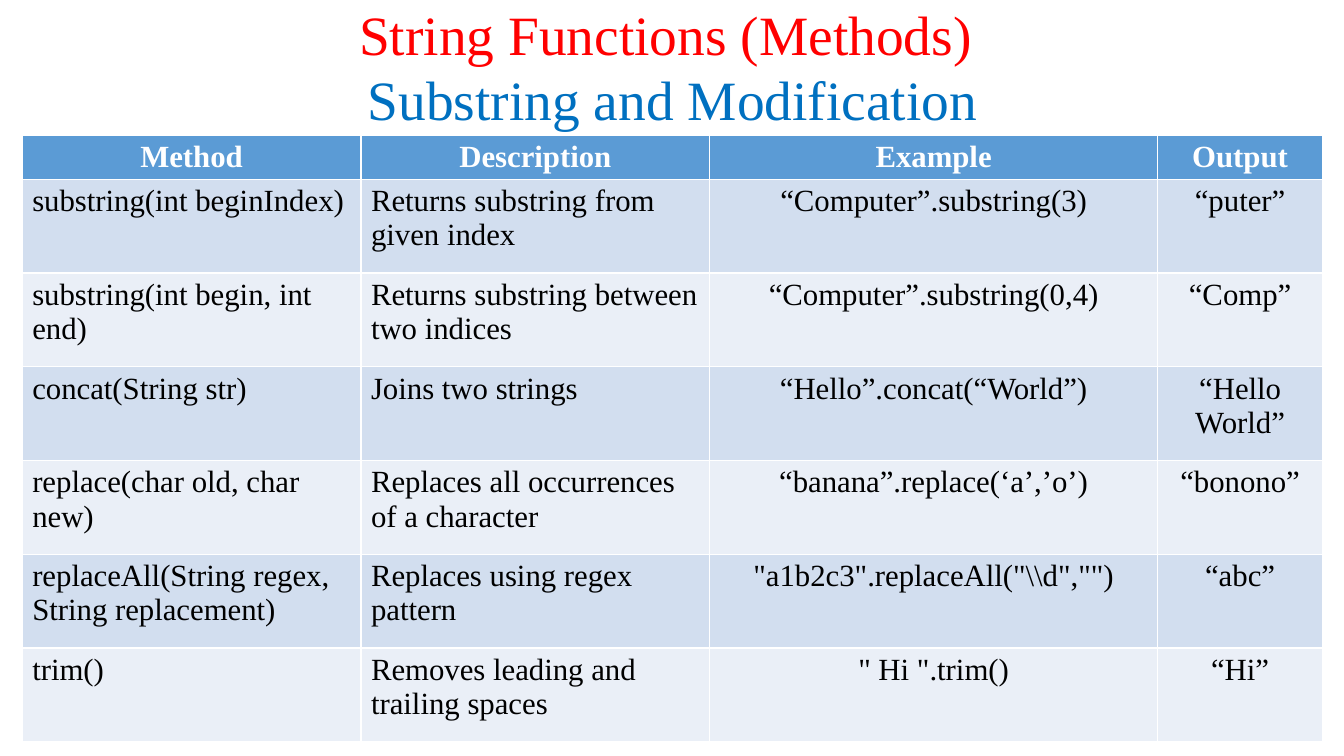
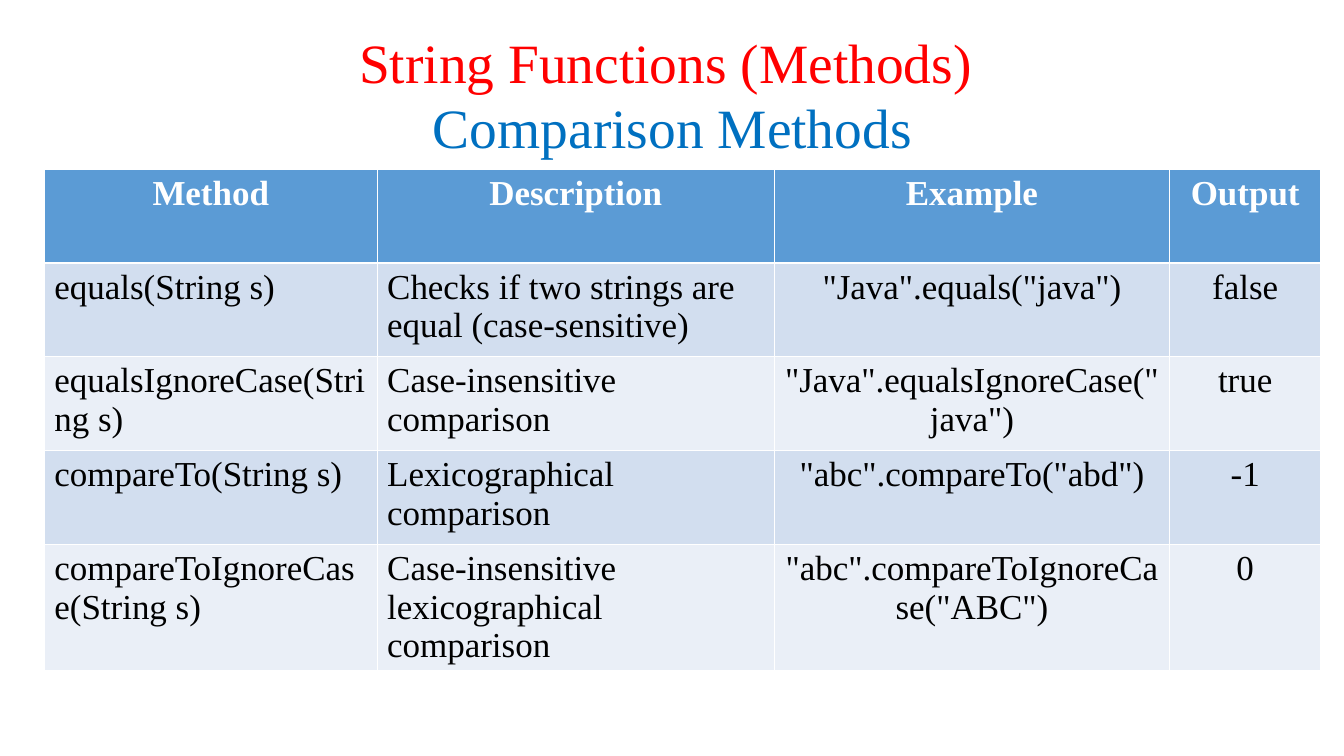
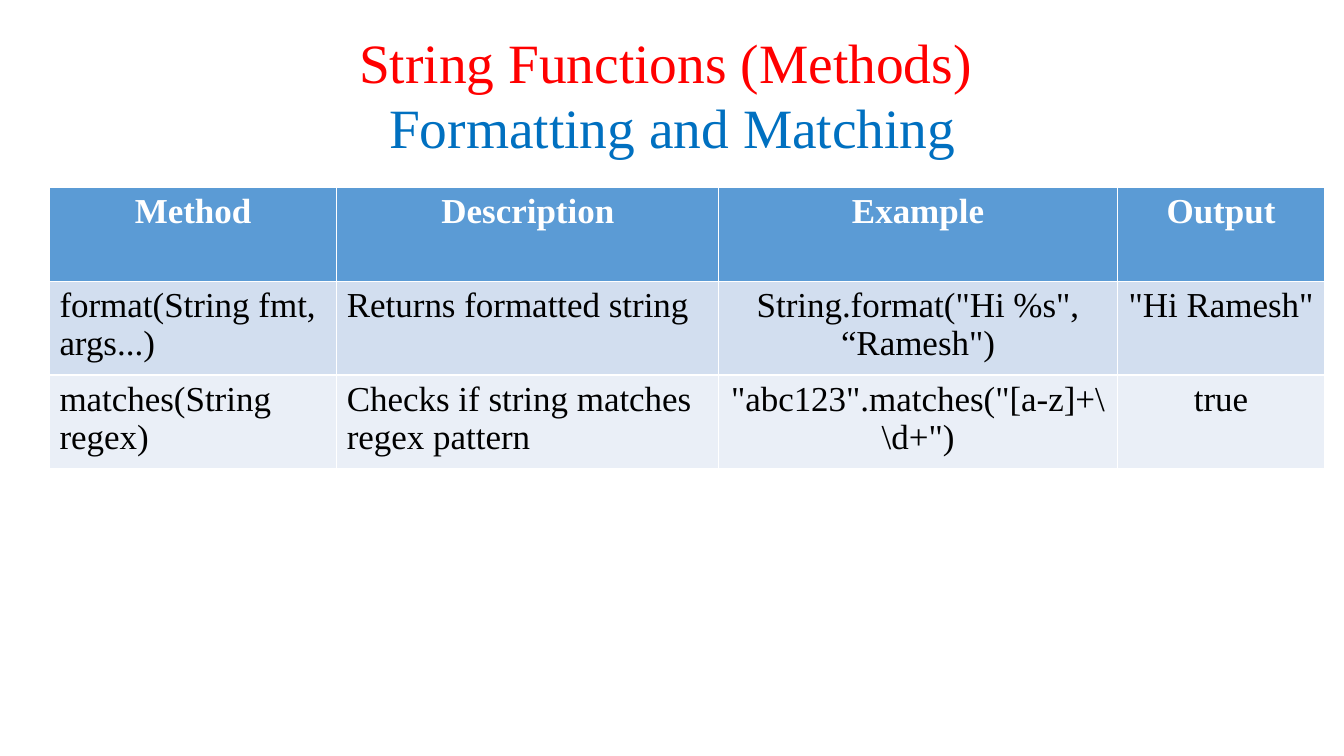
from copy import deepcopy
from dataclasses import dataclass

from pptx import Presentation
from pptx.dml.color import RGBColor
from pptx.enum.text import MSO_ANCHOR, MSO_AUTO_SIZE, PP_ALIGN
from pptx.oxml.ns import qn
from pptx.slide import Slide
from pptx.table import _Cell
from pptx.text.text import _Run
from pptx.util import Inches, Pt

COLORS = {
    "heading": "FF0000",
    "topic": "0070C0",
    "header": "5B9BD5",
    "header_text": "FFFFFF",
    "odd_row": "D2DEEF",
    "even_row": "EAEFF7",
    "body_text": "000000",
}
FONT = "Times New Roman"
HEADING = "String Functions (Methods) "
HEADER = ("Method", "Description", "Example", "Output")
CENTERED_FROM = 2
ROW_HEIGHT = 0.93


@dataclass(frozen=True)
class MethodSlide:
    topic: str
    title_top: float
    left: float
    top: float
    widths: tuple[float, ...]
    methods: tuple[tuple[str, ...], ...]
    text_size: float = 25
    header_height: float = ROW_HEIGHT


SLIDES = (
    MethodSlide(
        topic="Substring and Modification",
        title_top=0.12,
        left=0.22,
        top=1.34,
        widths=(3.36, 3.46, 4.44, 1.64),
        text_size=22,
        header_height=0.41,
        methods=(
            ("substring(int beginIndex)", "Returns substring from given index",
             "“Computer”.substring(3)", "“puter”"),
            ("substring(int begin, int end)", "Returns substring between two indices",
             "“Computer”.substring(0,4)", "“Comp”"),
            ("concat(String str)", "Joins two strings",
             "“Hello”.concat(“World”)", "“Hello World”"),
            ("replace(char old, char new)", "Replaces all occurrences of a character",
             "“banana”.replace(‘a’,’o’)", "“bonono”"),
            ("replaceAll(String regex, String replacement)", "Replaces using regex pattern",
             r'"a1b2c3".replaceAll("\\d","")', "“abc”"),
            ("trim()", "Removes leading and trailing spaces",
             '" Hi ".trim()', "“Hi”"),
        ),
    ),
    MethodSlide(
        topic="Comparison Methods",
        title_top=0.4,
        left=0.44,
        top=1.68,
        widths=(3.3, 3.94, 3.92, 1.5),
        methods=(
            ("equals(String s)", "Checks if two strings are equal (case-sensitive)",
             '"Java".equals("java")', "false"),
            ("equalsIgnoreCase(String s)", "Case-insensitive comparison",
             '"Java".equalsIgnoreCase("java")', "true"),
            ("compareTo(String s)", "Lexicographical comparison",
             '"abc".compareTo("abd")', "-1"),
            ("compareToIgnoreCase(String s)", "Case-insensitive lexicographical comparison",
             '"abc".compareToIgnoreCase("ABC")', "0"),
        ),
    ),
    MethodSlide(
        topic="Formatting and Matching",
        title_top=0.4,
        left=0.49,
        top=1.86,
        widths=(2.85, 3.79, 3.95, 2.06),
        methods=(
            ("format(String fmt, args...)", "Returns formatted string",
             'String.format("Hi %s", “Ramesh")', '"Hi Ramesh"'),
            ("matches(String regex)", "Checks if string matches regex pattern",
             r'"abc123".matches("[a-z]+\\d+")', "true"),
        ),
    ),
)


def style_run(run: _Run, size: float, color: str, bold: bool = False) -> None:
    run.font.name = FONT
    run.font.size = Pt(size)
    run.font.bold = bold
    run.font.color.rgb = RGBColor.from_string(COLORS[color])


def add_title(slide: Slide, topic: str, top: float) -> None:
    title = slide.shapes.title
    title.left, title.top = Inches(0.92), Inches(top)
    title.width, title.height = Inches(11.5), Inches(1.12)
    frame = title.text_frame
    frame.text = f"{HEADING}\v{topic}"
    frame.word_wrap = True
    frame.auto_size = MSO_AUTO_SIZE.NONE
    frame.vertical_anchor = MSO_ANCHOR.MIDDLE
    paragraph = frame.paragraphs[0]
    paragraph.alignment = PP_ALIGN.CENTER
    paragraph.line_spacing = 0.98
    for run, color in zip(paragraph.runs, ("heading", "topic")):
        style_run(run, 39.6, color)
    line_break = paragraph._p.find(qn("a:br"))
    line_break.append(deepcopy(paragraph.runs[0]._r.rPr))


def fill_cell(cell: _Cell, text: str, row: int, column: int, size: float) -> None:
    is_header = row == 0
    band = "header" if is_header else "odd_row" if row % 2 else "even_row"
    cell.fill.solid()
    cell.fill.fore_color.rgb = RGBColor.from_string(COLORS[band])
    paragraph = cell.text_frame.paragraphs[0]
    paragraph.text = text
    centered = is_header or column >= CENTERED_FROM
    paragraph.alignment = PP_ALIGN.CENTER if centered else PP_ALIGN.LEFT
    color = "header_text" if is_header else "body_text"
    style_run(paragraph.runs[0], size, color, bold=is_header)


def add_methods(slide: Slide, content: MethodSlide) -> None:
    rows = (HEADER, *content.methods)
    heights = (content.header_height, *[ROW_HEIGHT] * len(content.methods))
    table = slide.shapes.add_table(
        len(rows), len(HEADER), Inches(content.left), Inches(content.top),
        Inches(sum(content.widths)), Inches(sum(heights)),
    ).table
    for column, width in zip(table.columns, content.widths):
        column.width = Inches(width)
    for row, height in zip(table.rows, heights):
        row.height = Inches(height)
    for row_index, texts in enumerate(rows):
        for column_index, text in enumerate(texts):
            fill_cell(table.cell(row_index, column_index), text,
                      row_index, column_index, content.text_size)


def main() -> None:
    deck = Presentation()
    deck.slide_width, deck.slide_height = Inches(13.33), Inches(7.5)
    title_only = deck.slide_layouts.get_by_name("Title Only")
    for content in SLIDES:
        slide = deck.slides.add_slide(title_only)
        add_title(slide, content.topic, content.title_top)
        add_methods(slide, content)
    deck.save("out.pptx")


if __name__ == "__main__":
    main()
